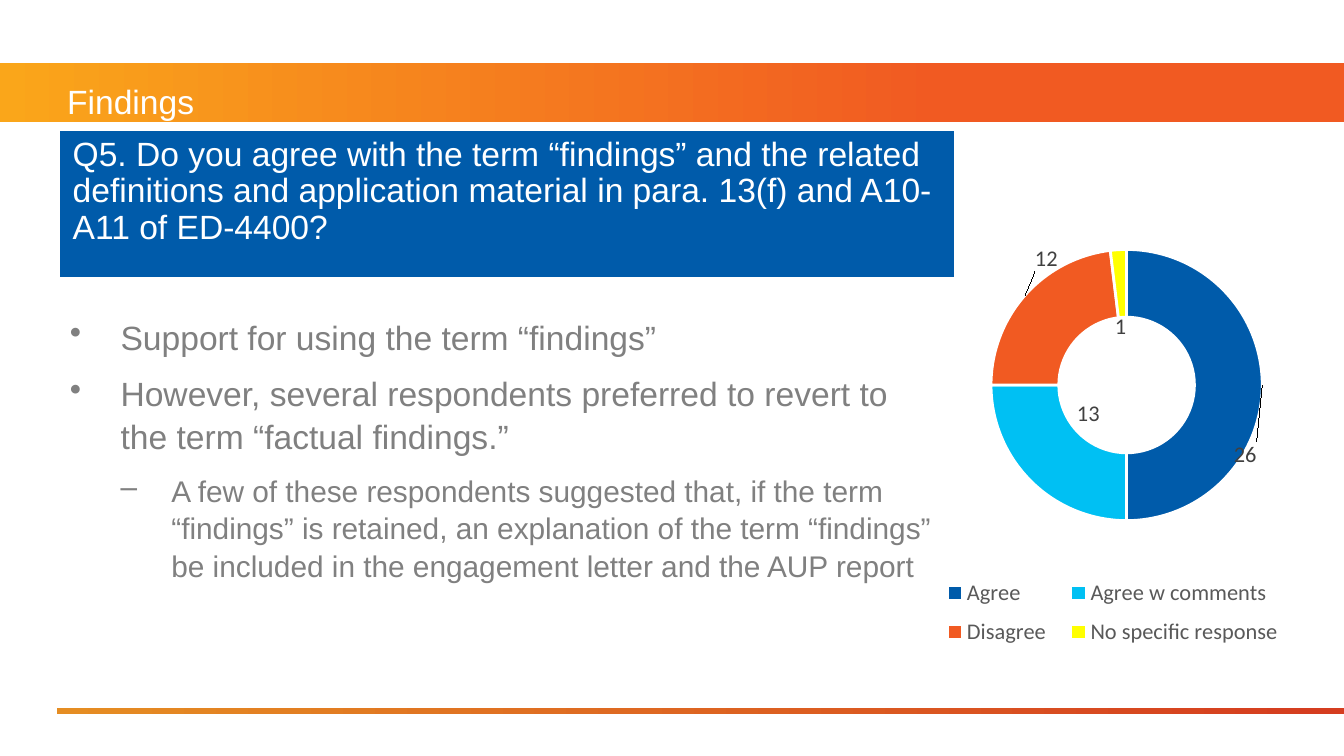
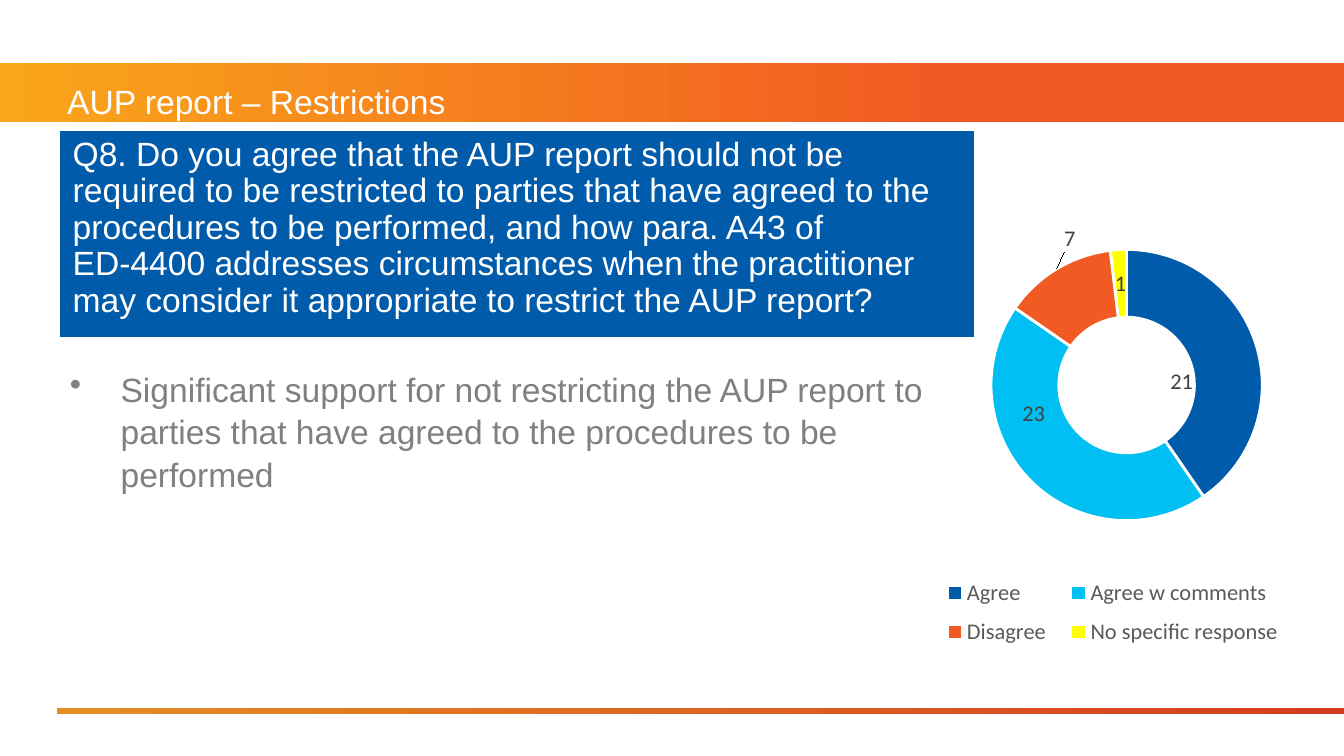
"""Build two survey-finding slides, each with a question, points and a doughnut chart."""
import copy
import dataclasses

import lxml.etree
import pptx
import pptx.chart.data
import pptx.dml.color
import pptx.enum.chart
import pptx.enum.shapes
import pptx.enum.text
import pptx.oxml
import pptx.oxml.ns
import pptx.util

Cm = pptx.util.Cm
Pt = pptx.util.Pt
qn = pptx.oxml.ns.qn


@dataclasses.dataclass(frozen=True)
class Theme:
    """Hold the colours, fonts and type sizes of the deck."""
    white: str = "FFFFFF"
    black: str = "000000"
    body: str = "808080"
    question: str = "005BAA"
    legend: str = "595959"
    label: str = "404040"
    band: tuple = ((0, "FAA61A"), (0.7, "F15A22"))
    rule: tuple = ((0, "E58D23"), (0.99, "D53D20"))
    answers: tuple = ("005BAA", "00C0F3", "F15A22", "FFFF00")
    text_font: str = "Arial"
    chart_font: str = "Calibri"
    heading_size: int = 18
    detail_size: int = 16
    chart_size: int = 10
    label_size: int = 12


THEME = Theme()
ANSWERS = ("Agree", "Agree w comments", "Disagree", "No specific response")
BULLETS = ("•", "–")
INDENT = Cm(0.96)


def colour(value):
    """Turn a hex string into a colour."""
    return pptx.dml.color.RGBColor.from_string(value)


def style_font(font, name, size, value):
    """Set the family, size and colour of a font."""
    font.name = name
    font.size = Pt(size)
    font.color.rgb = colour(value)


def style_runs(para, size, value):
    """Format every run of a paragraph in the text font."""
    for span in para.runs:
        style_font(span.font, THEME.text_font, size, value)


def add_gradient_bar(page, left, top, width, height, stops):
    """Draw a rectangle with a horizontal gradient."""
    bar = page.shapes.add_shape(
        pptx.enum.shapes.MSO_SHAPE.RECTANGLE, Cm(left), Cm(top), Cm(width), Cm(height))
    bar.shadow.inherit = False
    bar.line.fill.background()
    bar.fill.gradient()
    bar.fill.gradient_angle = 0
    for stop, (position, value) in zip(bar.fill.gradient_stops, stops):
        stop.position = position
        stop.color.rgb = colour(value)


def add_text_box(page, left, top, width, height):
    """Add a wrapping text box and return its text frame."""
    box = page.shapes.add_textbox(Cm(left), Cm(top), Cm(width), Cm(height))
    box.text_frame.word_wrap = True
    return box.text_frame


def add_frame(page, title):
    """Add the title band, title and footer rule."""
    add_gradient_bar(page, 0, 1.2, 25.4, 1.11, THEME.band)
    add_gradient_bar(page, 1.07, 13.39, 24.33, 0.1, THEME.rule)
    frame = add_text_box(page, 1.02, 1.35, 20.96, 1.12)
    frame.vertical_anchor = pptx.enum.text.MSO_ANCHOR.MIDDLE
    frame.text = title
    style_runs(frame.paragraphs[0], THEME.heading_size, THEME.white)


def add_bullet(para, level):
    """Give a paragraph the hanging bullet of its level."""
    para.level = level
    properties = para._p.get_or_add_pPr()
    properties.set("marL", str(INDENT * (level + 1)))
    properties.set("indent", str(-INDENT))
    bullet = lxml.etree.SubElement(properties, qn("a:buChar"))
    bullet.set("char", BULLETS[level])


def add_points(page, top, width, height, points):
    """Add the bulleted points, given as level and wording."""
    frame = add_text_box(page, 1.07, top, width, height)
    for index, (level, wording) in enumerate(points):
        para = frame.add_paragraph() if index else frame.paragraphs[0]
        para.text = wording
        add_bullet(para, level)
        para.line_spacing = 1.05
        if index:
            para.space_before = Pt(7.8)
        size = THEME.detail_size if level else THEME.heading_size
        style_runs(para, size, THEME.body)


def add_cell_borders(cell):
    """Give a cell white borders with a heavier bottom edge."""
    properties = cell._tc.get_or_add_tcPr()
    for index, (side, width) in enumerate((("L", 1), ("R", 1), ("T", 1), ("B", 3))):
        line = lxml.etree.Element(qn(f"a:ln{side}"), w=str(Pt(width)))
        fill = lxml.etree.SubElement(line, qn("a:solidFill"))
        lxml.etree.SubElement(fill, qn("a:srgbClr"), val=THEME.white)
        properties.insert(index, line)


def add_question(page, width, height, question):
    """Add the question as a one-cell table."""
    shape = page.shapes.add_table(1, 1, Cm(1.12), Cm(2.46), Cm(width), Cm(height))
    table = shape.table
    table.rows[0].height = Cm(2.82)
    shape.height = Cm(height)
    cell = table.cell(0, 0)
    cell.fill.solid()
    cell.fill.fore_color.rgb = colour(THEME.question)
    add_cell_borders(cell)
    cell.text_frame.text = question
    para = cell.text_frame.paragraphs[0]
    para.line_spacing = 0.97
    style_runs(para, THEME.heading_size, THEME.white)


def make_layout(**settings):
    """Build a manual chart layout from its settings."""
    layout = lxml.etree.Element(qn("c:layout"))
    manual = lxml.etree.SubElement(layout, qn("c:manualLayout"))
    for name, value in settings.items():
        lxml.etree.SubElement(manual, qn(f"c:{name}"), val=str(value))
    return layout


def place_chart_part(parent, position, target, x, y, w, h):
    """Replace the layout of the plot area or legend."""
    for layout in parent.findall(qn("c:layout")):
        parent.remove(layout)
    settings = {"layoutTarget": target} if target else {}
    settings.update(xMode="edge", yMode="edge", x=x, y=y, w=w, h=h)
    parent.insert(position, make_layout(**settings))


def move_labels(labels, offsets):
    """Shift data labels by fractions of the chart size."""
    group = labels._element
    text = group.find(qn("c:txPr"))
    for position, (index, (x, y)) in enumerate(offsets.items()):
        label = pptx.oxml.parse_xml(f"<c:dLbl {pptx.oxml.ns.nsdecls('c')}/>")
        lxml.etree.SubElement(label, qn("c:idx"), val=str(index))
        label.append(make_layout(x=x, y=y))
        label.append(copy.deepcopy(text))
        for name in ("LegendKey", "Val", "CatName", "SerName", "Percent", "BubbleSize"):
            shown = "1" if name == "Val" else "0"
            lxml.etree.SubElement(label, qn(f"c:show{name}"), val=shown)
        group.insert(position, label)


def add_answer_chart(page, values, offsets):
    """Add the doughnut of answers with its labels and legend."""
    data = pptx.chart.data.CategoryChartData()
    data.categories = ANSWERS
    data.add_series("Series 1", values)
    chart = page.shapes.add_chart(
        pptx.enum.chart.XL_CHART_TYPE.DOUGHNUT,
        Cm(17.02), Cm(2.46), Cm(7.95), Cm(10.19), data).chart
    chart.has_title = False
    style_font(chart.font, THEME.chart_font, THEME.chart_size, THEME.black)

    chart.has_legend = True
    legend = chart.legend
    legend.position = pptx.enum.chart.XL_LEGEND_POSITION.BOTTOM
    legend.include_in_layout = False
    style_font(legend.font, THEME.chart_font, THEME.label_size, THEME.legend)
    place_chart_part(legend._element, 1, None, 0.07, 0.81, 0.87, 0.17)

    plot = chart.plots[0]
    plot.vary_by_categories = True
    plot._element.find(qn("c:holeSize")).set("val", "75")
    place_chart_part(plot._element.getparent(), 0, "inner", 0.215, 0.189, 0.645, 0.568)

    series = plot.series[0]
    for index, value in enumerate(THEME.answers):
        slice_format = series.points[index].format
        slice_format.fill.solid()
        slice_format.fill.fore_color.rgb = colour(value)
        slice_format.line.color.rgb = colour(THEME.white)
        slice_format.line.width = Pt(1.5)
    labels = series.data_labels
    labels.show_value = True
    style_font(labels.font, THEME.chart_font, THEME.label_size, THEME.label)
    move_labels(labels, offsets)


def add_findings_page(page):
    """Fill the slide about the term findings."""
    add_frame(page, "Findings")
    add_points(page, 5.82, 16.99, 5.66, (
        (0, "Support for using the term “findings”"),
        (0, "However, several respondents preferred to revert to the term "
            "“factual findings.”"),
        (1, "A few of these respondents suggested that, if the term “findings” is "
            "retained, an explanation of the term “findings” be included in the "
            "engagement letter and the AUP report"),
    ))
    add_question(page, 16.92, 2.82, (
        "Q5. Do you agree with the term “findings” and the related definitions and "
        "application material in para. 13(f) and A10-A11 of ED-4400?"))
    add_answer_chart(page, (26, 13, 12, 1), {
        0: (0.04, 0.13), 1: (0.08, -0.08), 2: (-0.01, -0.11), 3: (0, 0.08)})


def add_restrictions_page(page):
    """Fill the slide about restricting the report."""
    add_frame(page, "AUP report – Restrictions")
    add_points(page, 6.81, 16.76, 5.87, (
        (0, "Significant support for not restricting the AUP report to parties that "
            "have agreed to the procedures to be performed"),
    ))
    add_question(page, 17.3, 4.06, (
        "Q8. Do you agree that the AUP report should not be required to be restricted "
        "to parties that have agreed to the procedures to be performed, and how para. "
        "A43 of ED-4400 addresses circumstances when the practitioner may consider it "
        "appropriate to restrict the AUP report?"))
    add_answer_chart(page, (21, 23, 7, 1), {
        0: (-0.1, 0.05), 1: (-0.05, -0.08), 2: (-0.01, -0.11)})


def main():
    """Create the deck and save it."""
    deck = pptx.Presentation()
    deck.slide_width = Cm(25.4)
    deck.slide_height = Cm(14.29)
    blank = deck.slide_layouts[6]
    for fill_page in (add_findings_page, add_restrictions_page):
        fill_page(deck.slides.add_slide(blank))
    deck.save("out.pptx")


if __name__ == "__main__":
    main()
